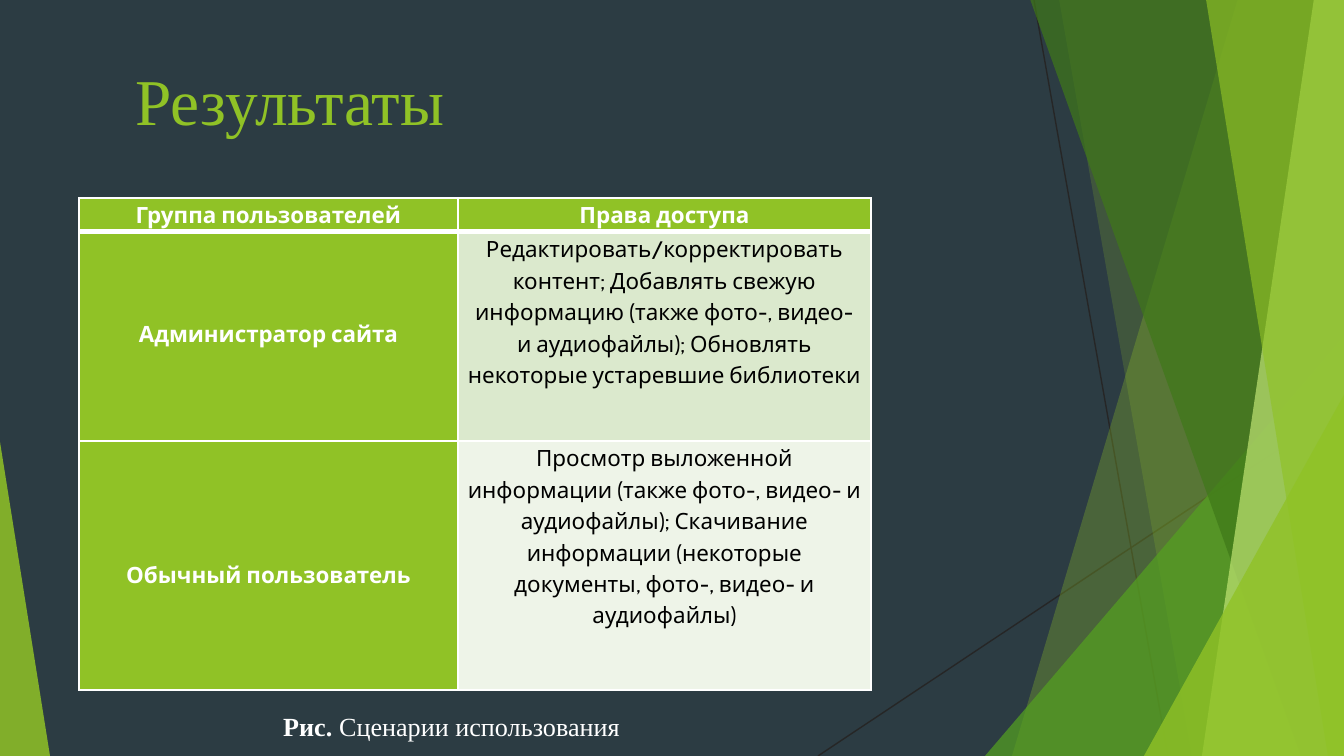
from lxml import etree
from pptx import Presentation
from pptx.dml.color import RGBColor
from pptx.enum.shapes import MSO_CONNECTOR, MSO_SHAPE
from pptx.enum.text import MSO_ANCHOR, PP_ALIGN
from pptx.oxml.ns import qn
from pptx.util import Emu, Pt

WIDTH, HEIGHT = 1344, 756
EMU_PER_PX = 9144000 / WIDTH

GREEN, WHITE, BLACK = "90C226", "FFFFFF", "000000"
SERIF, SANS = "Times New Roman", "Cabin"

HEADERS = ["Группа пользователей", "Права доступа"]
# Group, its rights, fill of the rights cell, drop of the group name
GROUPS = [
    ("Администратор сайта",
     "Редактировать/корректировать контент; Добавлять свежую информацию "
     "(также фото-, видео- и аудиофайлы); Обновлять некоторые устаревшие "
     "библиотеки", "DBE9CD", 85),
    ("Обычный пользователь",
     "Просмотр выложенной информации (также фото-, видео- и аудиофайлы); "
     "Скачивание информации (некоторые документы, фото-, видео- и "
     "аудиофайлы)", "EEF4E8", 117),
]


def px(value):
    return Emu(round(value * EMU_PER_PX))


def color(hex_value):
    return RGBColor.from_string(hex_value)


def paint(shape, hex_value, opacity):
    """Fill a shape with a translucent colour and no outline."""
    shape.shadow.inherit = False
    shape.line.fill.background()
    shape.fill.solid()
    shape.fill.fore_color.rgb = color(hex_value)
    tint = shape._element.spPr.find(qn("a:solidFill"))[0]
    etree.SubElement(tint, qn("a:alpha"), val=str(opacity * 1000))


def format_run(run, font, size, hex_value, bold=False):
    run.font.name = font
    run.font.size = Pt(size)
    run.font.bold = bold
    run.font.color.rgb = color(hex_value)


def add_ray(slide, x1, y1, x2, y2):
    line = slide.shapes.add_connector(
        MSO_CONNECTOR.STRAIGHT, px(x1), px(y1), px(x2), px(y2))
    line.line.color.rgb = color("262626")
    line.line.width = Pt(0.75)
    etree.SubElement(line._element.spPr, qn("a:effectLst"))


def add_facet(slide, top_x, bottom_x, hex_value, opacity):
    """Full-height band from a slanted edge to the right side."""
    builder = slide.shapes.build_freeform(px(top_x), px(-1), scale=1.0)
    corners = [(WIDTH, -1), (WIDTH, HEIGHT), (bottom_x, HEIGHT)]
    builder.add_line_segments([(px(x), px(y)) for x, y in corners], close=True)
    paint(builder.convert_to_shape(), hex_value, opacity)


def add_corner(slide, left, top, width, apex, hex_value, opacity):
    """Right triangle standing on the bottom edge."""
    triangle = slide.shapes.add_shape(
        MSO_SHAPE.ISOSCELES_TRIANGLE,
        px(left), px(top), px(width), px(HEIGHT - top))
    triangle.adjustments[0] = apex
    paint(triangle, hex_value, opacity)


def add_decoration(slide):
    add_ray(slide, 1034, 0, 1168, HEIGHT)
    add_ray(slide, WIDTH, 406, 818, HEIGHT)
    add_facet(slide, 1238, 1012, GREEN, 30)
    add_facet(slide, 1059, 1192, GREEN, 20)
    add_corner(slide, 985, 336, 359, 1, "54A021", 72)
    add_facet(slide, 1030, 1301, "3F7819", 70)
    add_facet(slide, 1314, 1202, "C0E474", 70)
    add_facet(slide, 1206, 1328, GREEN, 65)
    add_corner(slide, 1144, 395, 200, 1, GREEN, 80)
    add_corner(slide, 0, 442, 50, 0, GREEN, 85)


def set_title(slide, text):
    title = slide.shapes.title
    title.left, title.top = px(122), px(48)
    title.width, title.height = px(1199), px(91)
    frame = title.text_frame
    frame.text = text
    frame.vertical_anchor = MSO_ANCHOR.BOTTOM
    frame.margin_bottom = 0
    paragraph = frame.paragraphs[0]
    paragraph.alignment = PP_ALIGN.LEFT
    format_run(paragraph.runs[0], SERIF, 35, GREEN)


def set_borders(cell, bottom=1, top=1):
    properties = cell._tc.get_or_add_tcPr()
    widths = {"lnL": 1, "lnR": 1, "lnT": top, "lnB": bottom}
    for index, (side, width) in enumerate(widths.items()):
        border = etree.Element(qn(f"a:{side}"), w=str(Pt(width)))
        fill = etree.SubElement(border, qn("a:solidFill"))
        etree.SubElement(fill, qn("a:srgbClr"), val=WHITE)
        properties.insert(index, border)


def fill_cell(cell, text, fill, text_color=WHITE, bold=True, drop=0):
    cell.text = text
    cell.margin_left = cell.margin_right = px(9)
    cell.margin_top, cell.margin_bottom = px(drop), 0
    cell.vertical_anchor = MSO_ANCHOR.TOP
    cell.fill.solid()
    cell.fill.fore_color.rgb = color(fill)
    paragraph = cell.text_frame.paragraphs[0]
    paragraph.alignment = PP_ALIGN.CENTER
    paragraph.line_spacing = 1.15
    format_run(paragraph.runs[0], SANS, 12, text_color, bold)


def add_rights_table(slide):
    widths, heights = [379, 413], [34, 209, 249]
    table = slide.shapes.add_table(
        len(heights), len(widths), px(79), px(198),
        px(sum(widths)), px(sum(heights))).table
    for column, width in zip(table.columns, widths):
        column.width = px(width)
    for row, height in zip(table.rows, heights):
        row.height = px(height)

    # Header row, with a thick rule below it
    for index, text in enumerate(HEADERS):
        fill_cell(table.cell(0, index), text, GREEN)
        set_borders(table.cell(0, index), bottom=3)

    # One row for each user group
    for index, (group, rights, fill, drop) in enumerate(GROUPS, start=1):
        fill_cell(table.cell(index, 0), group, GREEN, drop=drop)
        fill_cell(table.cell(index, 1), rights, fill, BLACK, bold=False)
        for cell in table.rows[index].cells:
            set_borders(cell, top=3 if index == 1 else 1)


def add_caption(slide, label, text):
    box = slide.shapes.add_textbox(px(270), px(704), px(413), px(46))
    box.text_frame.word_wrap = True
    paragraph = box.text_frame.paragraphs[0]
    for part, bold in ((label, True), (text, False)):
        run = paragraph.add_run()
        run.text = part
        format_run(run, SERIF, 14, WHITE, bold)


def main():
    presentation = Presentation()
    presentation.slide_width, presentation.slide_height = px(WIDTH), px(HEIGHT)
    slide = presentation.slides.add_slide(presentation.slide_layouts[5])
    slide.background.fill.solid()
    slide.background.fill.fore_color.rgb = color("2C3C43")

    add_decoration(slide)
    set_title(slide, "Результаты")
    add_rights_table(slide)
    add_caption(slide, "Рис. ", "Сценарии использования")
    presentation.save("out.pptx")


if __name__ == "__main__":
    main()
